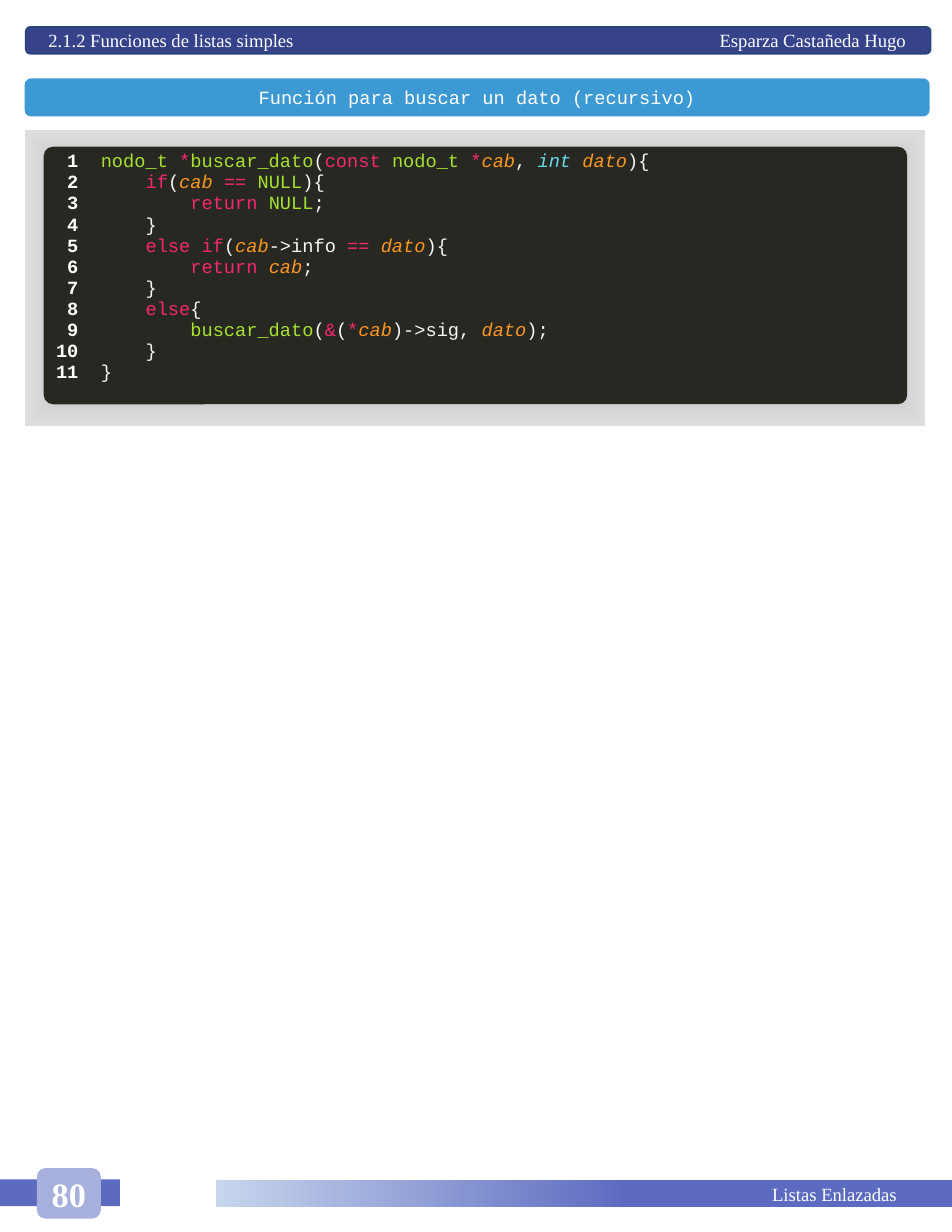
from lxml import etree
from pptx import Presentation
from pptx.dml.color import RGBColor
from pptx.enum.shapes import MSO_SHAPE as Shape
from pptx.enum.text import MSO_ANCHOR as Anchor, PP_ALIGN as Align
from pptx.oxml import parse_xml
from pptx.oxml.ns import nsdecls, qn
from pptx.util import Inches, Pt

SERIF, MONO = "Times New Roman", "Courier New"
WHITE = "FFFFFF"


def color(value):
    return RGBColor.from_string(value)


def add_block(kind, left, top, width, height, fill, text="", align=Align.CENTER,
              font=SERIF, size=12, bold=False, tab=None):
    """Add a flat block; fill is a hex string, or gradient stops and direction."""
    block = page.shapes.add_shape(kind, Inches(left), Inches(top),
                                  Inches(width), Inches(height))
    block.shadow.inherit = False
    block.line.fill.background()
    if isinstance(fill, str):
        block.fill.solid()
        block.fill.fore_color.rgb = color(fill)
    else:
        stops, direction = fill
        marks = "".join(f'<a:gs pos="{at * 1000}"><a:srgbClr val="{tone}"/></a:gs>'
                        for at, tone in stops)
        block._element.spPr.find(qn("a:prstGeom")).addnext(parse_xml(
            f'<a:gradFill rotWithShape="1" {nsdecls("a")}>'
            f'<a:gsLst>{marks}</a:gsLst>{direction}</a:gradFill>'))
    if text:
        block.text_frame.vertical_anchor = Anchor.MIDDLE
        para = block.text_frame.paragraphs[0]
        para.text = text
        para.alignment = align
        if tab:
            tabs = etree.SubElement(para._p.get_or_add_pPr(), qn("a:tabLst"))
            etree.SubElement(tabs, qn("a:tab"), pos=str(Inches(tab)), algn="r")
        para.font.name, para.font.size, para.font.bold = font, Pt(size), bold
        para.font.color.rgb = color(WHITE)
    return block


deck = Presentation()
deck.slide_width, deck.slide_height = Inches(8.5), Inches(11)
page = deck.slides.add_slide(deck.slide_layouts[6])

# Header and footer bars
add_block(Shape.RECTANGLE, 0, 10.53, 1.07, 0.24, "5C6BC0")
header = add_block(Shape.ROUNDED_RECTANGLE, 0.23, 0.24, 8.08, 0.24, "36428A",
                   "2.1.2 Funciones de listas simples\tEsparza Castañeda Hugo",
                   Align.LEFT, tab=7.66)
header.line.color.rgb = color("28457A")
header.line.width = Pt(1)
header.text_frame.margin_left = Inches(0.19)
add_block(Shape.ROUNDED_RECTANGLE, 0.33, 10.43, 0.57, 0.45, "A7AFDD",
          "80", size=22, bold=True)
footer = add_block(Shape.RECTANGLE, 1.93, 10.54, 6.57, 0.24,
                   ([(44, "5C6BC0"), (100, "C7D5ED")],
                    '<a:lin ang="10800000" scaled="0"/>'),
                   "Listas Enlazadas", Align.RIGHT)
footer.text_frame.margin_right = Inches(0.49)

# Title and code panel
add_block(Shape.ROUNDED_RECTANGLE, 0.22, 0.7, 8.08, 0.34, "3C99D4",
          "Función para buscar un dato (recursivo)", font=MONO)
add_block(Shape.RECTANGLE, 0.22, 1.16, 8.04, 2.64,
          ([(11, "7B7B7B"), (61, "BCBCBC"), (100, "DEDEDE")],
           '<a:path path="rect"><a:fillToRect l="50000" t="50000" '
           'r="50000" b="50000"/></a:path>'))
panel = add_block(Shape.ROUNDED_RECTANGLE, 0.39, 1.31, 7.71, 2.3, "272822")
panel.adjustments[0] = 0.036

# Code: each line is a list of (text, syntax colour)
PLAIN, KEYWORD, NAME, VARIABLE, TYPE = "F8F8F2", "F92672", "A6E22E", "FD971F", "66D9EF"
ITALIC = (VARIABLE, TYPE)
code = [
    [("nodo_t ", NAME), ("*", KEYWORD), ("buscar_dato", NAME), ("(", PLAIN),
     ("const ", KEYWORD), ("nodo_t ", NAME), ("*", KEYWORD), ("cab", VARIABLE),
     (", ", PLAIN), ("int ", TYPE), ("dato", VARIABLE), ("){", PLAIN)],
    [("    ", PLAIN), ("if", KEYWORD), ("(", PLAIN), ("cab ", VARIABLE),
     ("== ", KEYWORD), ("NULL", NAME), ("){", PLAIN)],
    [("        ", PLAIN), ("return ", KEYWORD), ("NULL", NAME), (";", PLAIN)],
    [("    }", PLAIN)],
    [("    ", PLAIN), ("else if", KEYWORD), ("(", PLAIN), ("cab", VARIABLE),
     ("->info ", PLAIN), ("== ", KEYWORD), ("dato", VARIABLE), ("){", PLAIN)],
    [("        ", PLAIN), ("return ", KEYWORD), ("cab", VARIABLE), (";", PLAIN)],
    [("    }", PLAIN)],
    [("    ", PLAIN), ("else", KEYWORD), ("{", PLAIN)],
    [("        ", PLAIN), ("buscar_dato", NAME), ("(", PLAIN), ("&", KEYWORD),
     ("(", PLAIN), ("*", KEYWORD), ("cab", VARIABLE), (")->sig, ", PLAIN),
     ("dato", VARIABLE), (");", PLAIN)],
    [("    }", PLAIN)],
    [("}", PLAIN)],
]

# Listing table without style or borders
frame = page.shapes.add_table(1, 2, Inches(0.39), Inches(1.31), Inches(7.71), Inches(2.3))
table = frame.table
table.first_row = table.horz_banding = False
style = table._tbl.tblPr.find(qn("a:tableStyleId"))
style.text = "{2D5ABB26-0587-4C30-8999-92F81FD0307C}"
for column, width in zip(table.columns, (0.41, 7.3)):
    column.width = Inches(width)
numbers, listing = table.cell(0, 0), table.cell(0, 1)
for cell in (numbers, listing):
    cell.fill.background()

for index, line in enumerate(code):
    paras = []
    for cell in (numbers, listing):
        body = cell.text_frame
        para = body.add_paragraph() if index else body.paragraphs[0]
        para.font.name, para.font.size = MONO, Pt(12)
        paras.append(para)
    number, source = paras
    number.text = str(index + 1)
    number.alignment = Align.RIGHT
    number.font.bold = True
    number.font.color.rgb = color(WHITE)
    for text, tone in line:
        span = source.add_run()
        span.text = text
        span.font.color.rgb = color(tone)
        span.font.italic = tone in ITALIC

deck.save("out.pptx")
